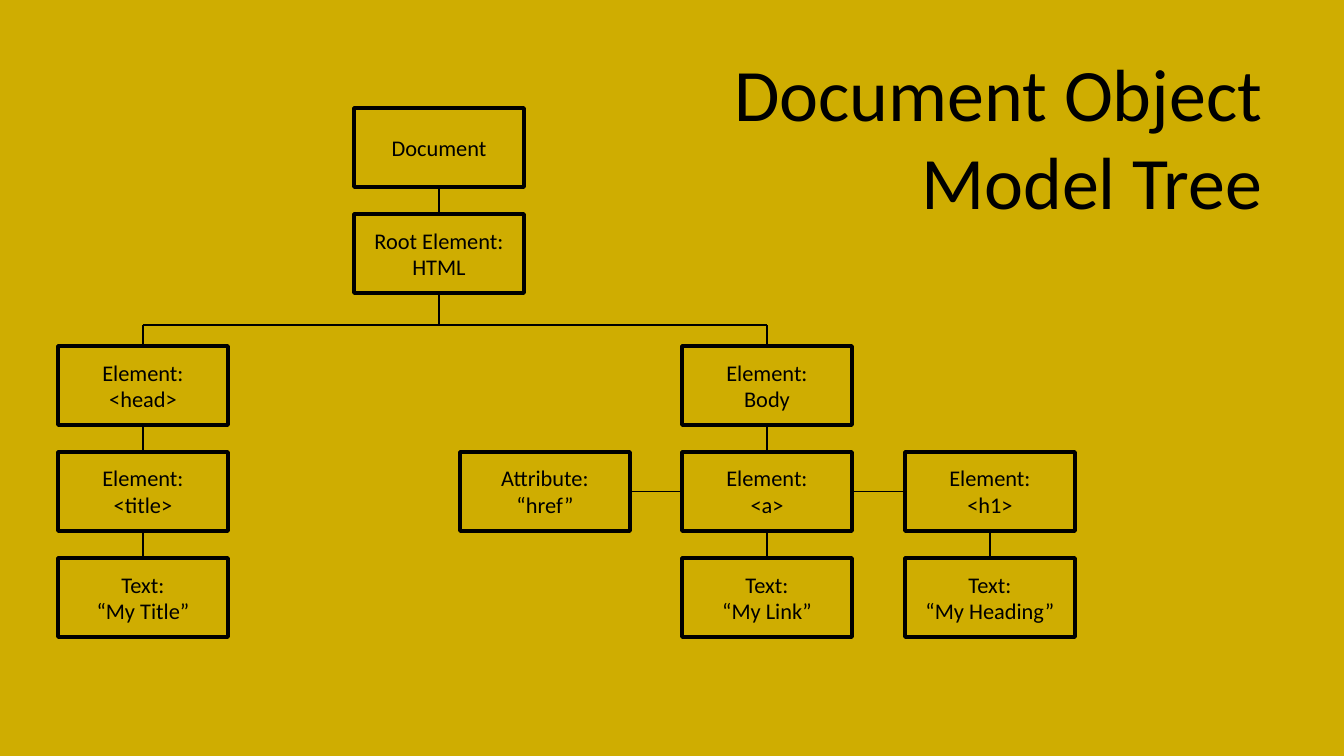
"""Build a slide showing the Document Object Model as a tree of boxes."""
from pptx import Presentation
from pptx.dml.color import RGBColor
from pptx.enum.shapes import MSO_CONNECTOR as Connector, MSO_SHAPE as Shape
from pptx.enum.text import MSO_ANCHOR as Anchor, MSO_AUTO_SIZE as AutoSize, PP_ALIGN as Align
from pptx.oxml.ns import qn
from pptx.util import Pt
from lxml.etree import SubElement

TITLE = "Document Object Model Tree"
NODES = {
    "document": ("root", 0, "Document"),
    "html": ("root", 1, "Root Element:\nHTML"),
    "head": ("head", 2, "Element:\n<head>"),
    "body": ("body", 2, "Element:\nBody"),
    "title": ("head", 3, "Element:\n<title>"),
    "href": ("attribute", 3, "Attribute:\n“href”"),
    "link": ("body", 3, "Element:\n<a>"),
    "heading": ("heading", 3, "Element:\n<h1>"),
    "title text": ("head", 4, "Text:\n“My Title”"),
    "link text": ("body", 4, "Text:\n“My Link”"),
    "heading text": ("heading", 4, "Text:\n“My Heading”"),
}
DOWN_LINKS = [("document", "html"), ("head", "title"), ("title", "title text"),
              ("body", "link"), ("link", "link text"), ("heading", "heading text")]
SIDE_LINKS = [("href", "link"), ("link", "heading")]

COLORS = {"gold": "CFAD01", "ink": "000000"}
SCALE = 914400 / 134.4
COLUMNS = {"head": 58, "root": 354, "attribute": 460, "body": 682, "heading": 905}
ROWS = [108, 214, 346, 452, 558]
BOX_W, BOX_H = 170, 79
BRANCH_Y = 325
TOP, LEFT, BOTTOM, RIGHT = range(4)


def px(value):
    return round(value * SCALE)


def color(name):
    return RGBColor.from_string(COLORS[name])


def write(box, text, size, align):
    frame = box.text_frame
    frame.text = text
    frame_format = {"word_wrap": True, "auto_size": AutoSize.NONE, "vertical_anchor": Anchor.MIDDLE}
    for name, value in frame_format.items():
        setattr(frame, name, value)
    for para in frame.paragraphs:
        para.alignment = align
        for span in para.runs:
            for name, value in {"name": "Calibri", "size": Pt(size)}.items():
                setattr(span.font, name, value)
            span.font.color.rgb = color("ink")


def add_node(page, column, row, text):
    box = page.shapes.add_shape(Shape.RECTANGLE, px(COLUMNS[column]), px(ROWS[row]), px(BOX_W), px(BOX_H))
    box.shadow.inherit = False
    box.fill.solid()
    box.fill.fore_color.rgb = color("gold")
    box.line.color.rgb = color("ink")
    box.line.width = Pt(2)
    write(box, text, 12, Align.CENTER)
    return box


def add_line(page, x1=0, y1=0, x2=0, y2=0):
    line = page.shapes.add_connector(Connector.STRAIGHT, px(x1), px(y1), px(x2), px(y2))
    line.line.color.rgb = color("ink")
    line.line.width = Pt(0.75)
    SubElement(line._element.spPr, qn("a:effectLst"))
    return line


def add_branch(page):
    root, head, body = (COLUMNS[name] + BOX_W / 2 for name in ("root", "head", "body"))
    add_line(page, root, ROWS[1] + BOX_H, root, BRANCH_Y)
    add_line(page, head, BRANCH_Y, body, BRANCH_Y)
    for center in (head, body):
        add_line(page, center, BRANCH_Y, center, ROWS[2])


def main():
    deck = Presentation()
    deck.slide_width, deck.slide_height = px(1344), px(756)
    page = deck.slides.add_slide(deck.slide_layouts[5])
    page.background.fill.solid()
    page.background.fill.fore_color.rgb = color("gold")

    title = page.shapes.title
    for name, value in {"left": 681, "top": 31, "width": 595, "height": 210}.items():
        setattr(title, name, px(value))
    write(title, TITLE, 39.6, Align.RIGHT)

    boxes = {key: add_node(page, *node) for key, node in NODES.items()}
    add_branch(page)
    for links, start, end in ((DOWN_LINKS, BOTTOM, TOP), (SIDE_LINKS, RIGHT, LEFT)):
        for first, second in links:
            line = add_line(page)
            line.begin_connect(boxes[first], start)
            line.end_connect(boxes[second], end)

    deck.save("out.pptx")


if __name__ == "__main__":
    main()
